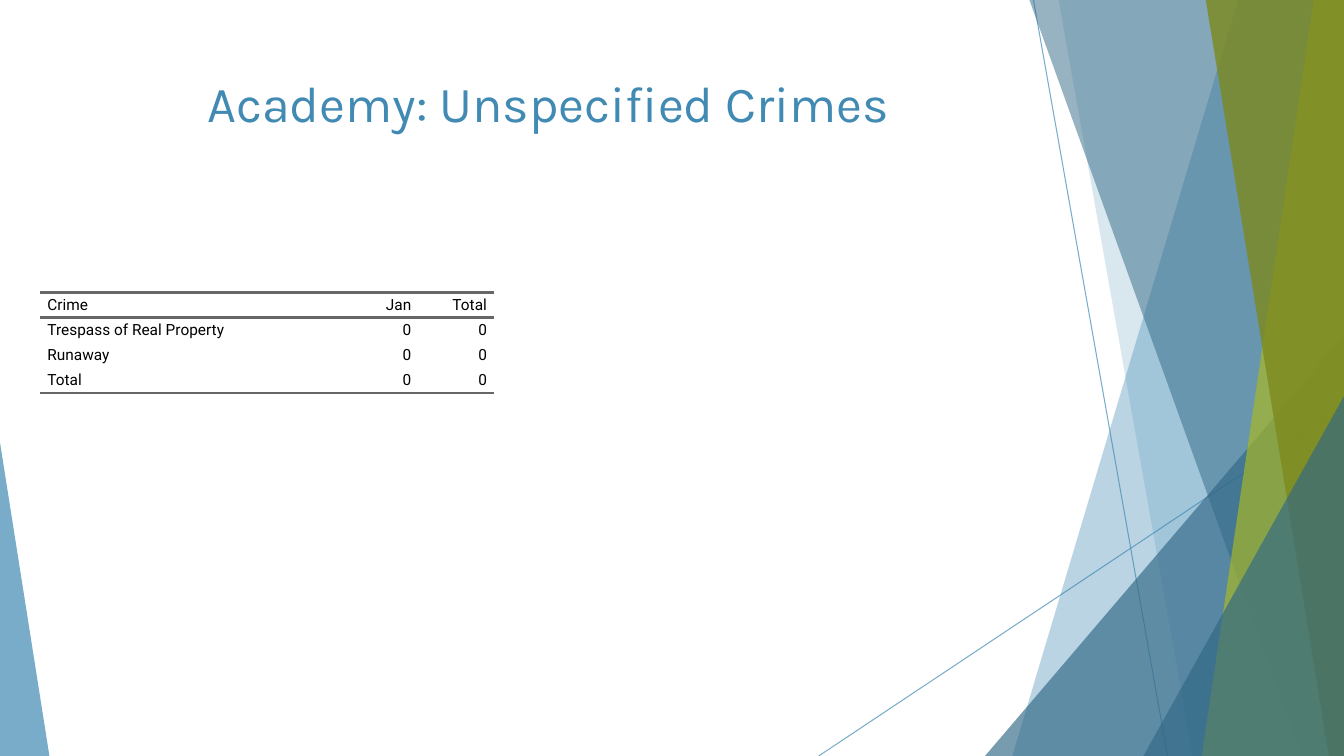
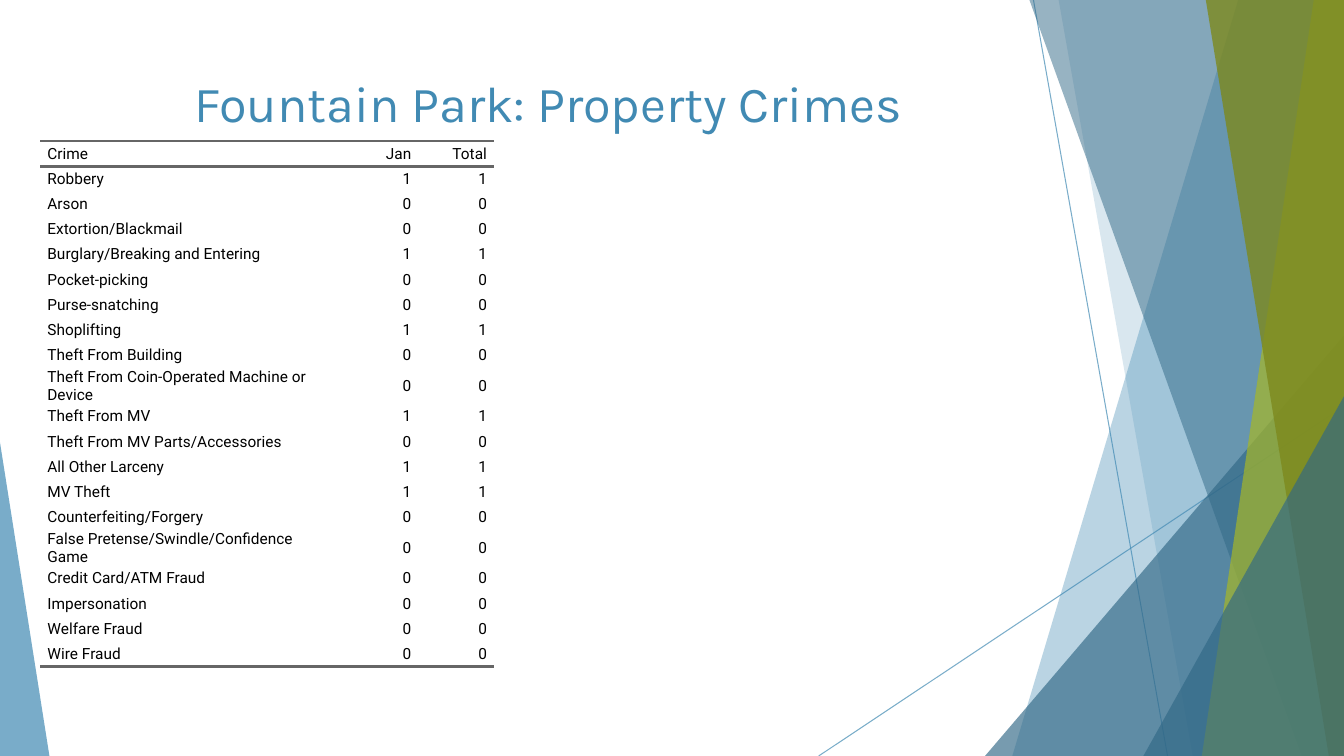
import pptx
import pptx.dml.color
import pptx.enum.shapes
import pptx.enum.text
import pptx.oxml.ns
import pptx.util
from lxml import etree

Inches = pptx.util.Inches
Pt = pptx.util.Pt
RGBColor = pptx.dml.color.RGBColor
MSO_SHAPE = pptx.enum.shapes.MSO_SHAPE
ALIGN = pptx.enum.text.PP_ALIGN
ANCHOR = pptx.enum.text.MSO_ANCHOR
qn = pptx.oxml.ns.qn

BLUE = RGBColor(0x41, 0x8A, 0xB3)
NAVY = RGBColor(0x31, 0x68, 0x86)
LIME = RGBColor(0xA6, 0xB7, 0x27)
OLIVE = RGBColor(0x7D, 0x89, 0x1D)
BLACK = RGBColor(0, 0, 0)
GRAY = RGBColor(0x66, 0x66, 0x66)

WIDTH, HEIGHT = 13.33, 7.5
PAGE = (0, 0, WIDTH, HEIGHT)
TITLE_BOX = (0.74, 0.67, 9.4, 1.44)
TITLE_FONT = {"name": "Karla", "size": Pt(36), "color": BLUE, "bold": False}
TABLE_FONT = {"name": "Roboto", "size": Pt(11), "color": BLACK, "bold": False}
COLS = (3, 0.75, 0.75)
ROW_HEIGHT = 0.25
CELL_INDENT = Inches(0.07)
HEADER = ("Crime", "Jan", "Total")

RAYS = [((10.25, 0), (11.58, 7.5)), ((13.33, 4.03), (8.12, 7.5))]
FACETS = [
    ("band", (12.28, 10.04), BLUE, 36),
    ("band", (10.5, 11.83), BLUE, 20),
    ("right", (3.56, 4.17), NAVY, 66),
    ("band", (10.21, 12.91), NAVY, 50),
    ("band", (13.03, 11.92), LIME, 70),
    ("band", (11.96, 13.18), OLIVE, 80),
    ("right", (1.99, 3.57), NAVY, 66),
    ("left", (0.49, 3.11), BLUE, 70),
]

SLIDES = [
    ("Academy: Unspecified Crimes", (0.4, 2.9), [
        ("Trespass of Real Property", 0, 0),
        ("Runaway", 0, 0),
        ("Total", 0, 0),
    ]),
    ("Fountain Park: Property Crimes", (0.4, 1.4), [
        ("Robbery", 1, 1),
        ("Arson", 0, 0),
        ("Extortion/Blackmail", 0, 0),
        ("Burglary/Breaking and Entering", 1, 1),
        ("Pocket-picking", 0, 0),
        ("Purse-snatching", 0, 0),
        ("Shoplifting", 1, 1),
        ("Theft From Building", 0, 0),
        ("Theft From Coin-Operated Machine or Device", 0, 0),
        ("Theft From MV", 1, 1),
        ("Theft From MV Parts/Accessories", 0, 0),
        ("All Other Larceny", 1, 1),
        ("MV Theft", 1, 1),
        ("Counterfeiting/Forgery", 0, 0),
        ("False Pretense/Swindle/Confidence Game", 0, 0),
        ("Credit Card/ATM Fraud", 0, 0),
        ("Impersonation", 0, 0),
        ("Welfare Fraud", 0, 0),
        ("Wire Fraud", 0, 0),
    ]),
]


def set_attrs(obj, values):
    """Set each attribute named in a dict."""
    for name, value in values.items():
        setattr(obj, name, value)


def set_font(font, values):
    """Apply a font dict, with its colour."""
    set_attrs(font, {k: v for k, v in values.items() if k != "color"})
    font.color.rgb = values["color"]


def set_alpha(shape, percent):
    """Make the direct colours of a shape partly transparent."""
    for clr in shape.element.xpath("./p:spPr//a:srgbClr"):
        etree.SubElement(clr, qn("a:alpha")).set("val", str(percent * 1000))


def add_ray(shapes, start, end):
    """Draw a thin translucent line."""
    points = [Inches(v) for v in (*start, *end)]
    line = shapes.add_connector(pptx.enum.shapes.MSO_CONNECTOR.STRAIGHT, *points)
    line.line.color.rgb = BLUE
    line.line.width = Pt(0.75)
    etree.SubElement(line.element.spPr, qn("a:effectLst"))
    set_alpha(line, 70)


def add_facet(shapes, box, kind, size, color, alpha):
    """Draw a band to the right edge, or a triangle in a bottom corner."""
    left, top, width, height = box
    right, bottom = left + width, top + height
    if kind == "band":
        x_top, x_bottom = left + size[0], left + size[1]
        corners = [(right, top), (right, bottom), (x_bottom, bottom)]
        builder = shapes.build_freeform(Inches(x_top), Inches(top))
        builder.add_line_segments([(Inches(x), Inches(y)) for x, y in corners])
        sp = builder.convert_to_shape()
    else:
        w, h = size
        x = left if kind == "left" else right - w
        frame = [Inches(v) for v in (x, bottom - h, w, h)]
        sp = shapes.add_shape(MSO_SHAPE.ISOSCELES_TRIANGLE, *frame)
        sp.adjustments[0] = 0 if kind == "left" else 1
    sp.shadow.inherit = False
    sp.fill.solid()
    sp.fill.fore_color.rgb = color
    sp.line.fill.background()
    set_alpha(sp, alpha)


def add_backdrop(s, box):
    """Draw the facets and move them to the layout of the slide."""
    group = s.shapes.add_group_shape()
    for start, end in RAYS:
        add_ray(group.shapes, start, end)
    for facet in FACETS:
        add_facet(group.shapes, box, *facet)
    tree = s.slide_layout.shapes.element
    tree.append(group.element)
    for number, props in enumerate(tree.xpath(".//p:cNvPr"), 1):
        props.set("id", str(number))


def add_title(s, text, box):
    """Place and format the title placeholder."""
    sp = s.shapes.title
    set_attrs(sp, dict(zip(("left", "top", "width", "height"), map(Inches, box))))
    tf = sp.text_frame
    tf.text = text
    set_attrs(tf, {"word_wrap": True, "vertical_anchor": ANCHOR.TOP})
    p = tf.paragraphs[0]
    p.alignment = ALIGN.CENTER
    set_font(p.runs[0].font, TITLE_FONT)


def set_borders(cell, ruled):
    """Rule the named sides of a cell and clear the others."""
    tc_pr = cell._tc.get_or_add_tcPr()
    for side in "LRTB":
        ln = etree.SubElement(tc_pr, qn("a:ln" + side))
        if side in ruled:
            ln.set("w", str(Pt(2)))
            fill = etree.SubElement(ln, qn("a:solidFill"))
            etree.SubElement(fill, qn("a:srgbClr")).set("val", str(GRAY))
        else:
            etree.SubElement(ln, qn("a:noFill"))


def fill_cell(cell, text, align, ruled):
    """Write and format one table cell."""
    set_borders(cell, ruled)
    cell.fill.background()
    set_attrs(cell, {"margin_left": 0, "margin_right": 0, "margin_top": 0,
                     "margin_bottom": 0, "vertical_anchor": ANCHOR.MIDDLE})
    cell.text = str(text)
    p = cell.text_frame.paragraphs[0]
    set_attrs(p, {"alignment": align, "space_before": Pt(5), "space_after": Pt(5)})
    p_pr = p._p.get_or_add_pPr()
    for name, value in {"marL": CELL_INDENT, "marR": CELL_INDENT, "indent": 0}.items():
        p_pr.set(name, str(value))
    set_font(p.runs[0].font, TABLE_FONT)


def add_crime_table(s, records, corner):
    """Add the table of crime counts at a top-left corner."""
    rows = [HEADER, *records]
    size = (sum(COLS), ROW_HEIGHT * len(rows))
    frame = [Inches(v) for v in (*corner, *size)]
    table = s.shapes.add_table(len(rows), len(COLS), *frame).table
    set_attrs(table, {"first_row": False, "horz_banding": False})
    for col, width in zip(table.columns, COLS):
        col.width = Inches(width)
    for i, row in enumerate(rows):
        table.rows[i].height = Inches(ROW_HEIGHT)
        ruled = ("T" if i < 2 else "") + ("B" if i in (0, len(rows) - 1) else "")
        for j, text in enumerate(row):
            fill_cell(table.cell(i, j), text, ALIGN.RIGHT if j else ALIGN.LEFT, ruled)


def main():
    """Build and save the presentation."""
    prs = pptx.Presentation()
    prs.slide_width, prs.slide_height = Inches(WIDTH), Inches(HEIGHT)
    layout = prs.slide_layouts.get_by_name("Title Only")
    for i, (title, corner, records) in enumerate(SLIDES):
        s = prs.slides.add_slide(layout)
        if i == 0:
            add_backdrop(s, PAGE)
        add_title(s, title, TITLE_BOX)
        add_crime_table(s, records, corner)
    prs.save("out.pptx")


if __name__ == "__main__":
    main()
